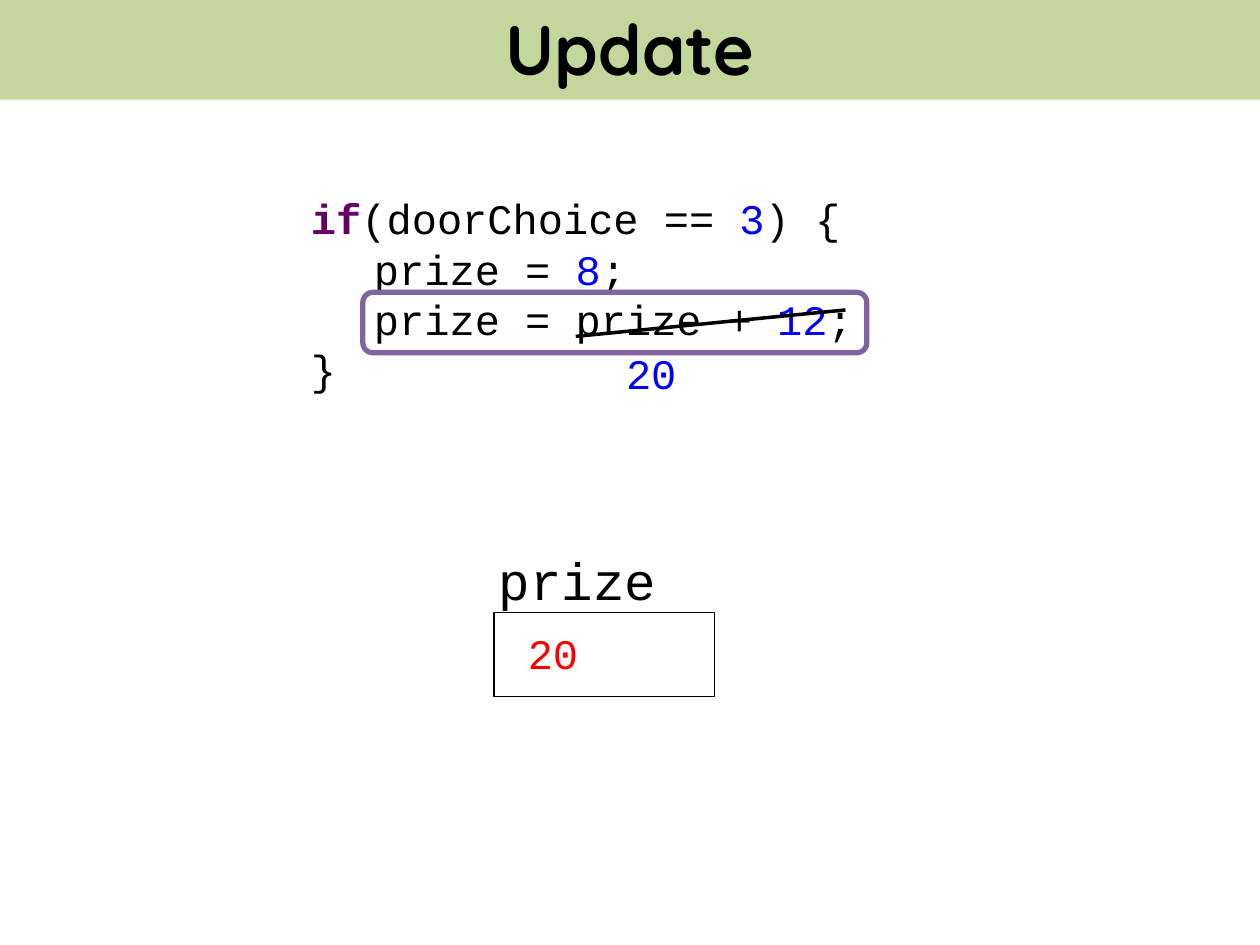
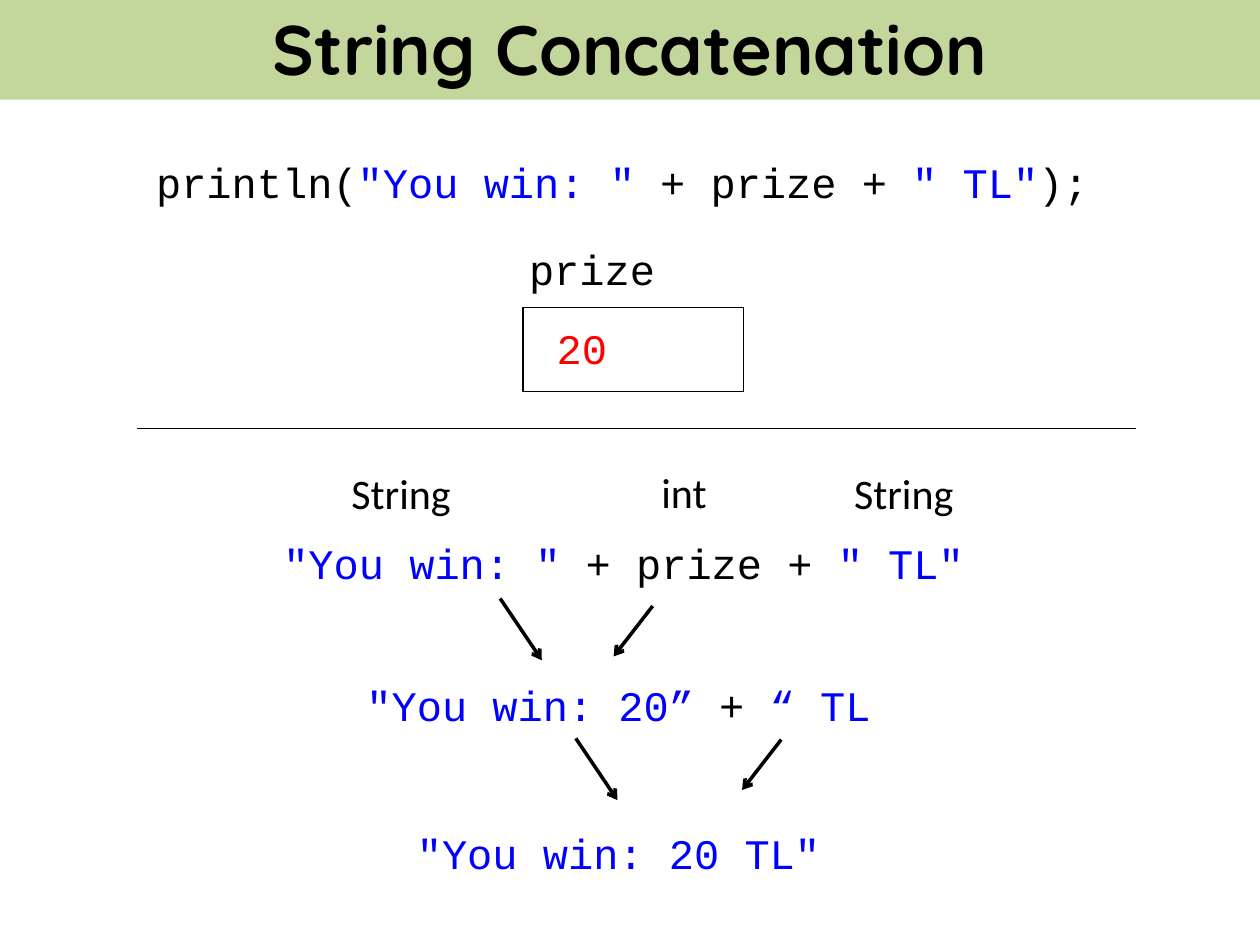
"""Build two slides on updating a variable and concatenating strings."""
from lxml import etree
from pptx import Presentation
from pptx.dml.color import RGBColor
from pptx.enum.shapes import MSO_CONNECTOR as CONN, MSO_SHAPE as SHAPE
from pptx.enum.text import MSO_ANCHOR as ANCHOR, MSO_AUTO_SIZE as AUTO, PP_ALIGN as ALIGN
from pptx.oxml.ns import qn
from pptx.util import Inches, Pt

COLORS = {
    "band": "C3D69B", "black": "000000", "white": "FFFFFF", "keyword": "660066",
    "literal": "0000FF", "value": "FF0000", "highlight": "8064A2",
}
CODE, LABEL, TITLE = "Courier New", "Calibri", "Quicksand"


def rgb(name):
    return RGBColor.from_string(COLORS[name])


class Deck:
    def __init__(self):
        self.prs = Presentation()
        self.prs.slide_width, self.prs.slide_height = Inches(10), Inches(7.5)
        self.s = None

    def format_run(self, r, color="black", size=24, font=CODE, bold=False):
        r.font.name, r.font.size, r.font.bold = font, Pt(size), bold
        r.font.color.rgb = rgb(color)

    def slide(self, title):
        self.s = self.prs.slides.add_slide(self.prs.slide_layouts[5])
        sp = self.s.shapes.title
        sp.left, sp.top = Inches(0), Inches(-0.03)
        sp.width, sp.height = Inches(10), Inches(0.82)
        sp.fill.solid()
        sp.fill.fore_color.rgb = rgb("band")
        tf = sp.text_frame
        tf.text = title
        tf.auto_size, tf.vertical_anchor = AUTO.NONE, ANCHOR.MIDDLE
        p = tf.paragraphs[0]
        p.alignment = ALIGN.CENTER
        self.format_run(p.runs[0], size=40, font=TITLE, bold=True)

    def text(self, x, y, w, h, *lines, size=24, font=CODE, wrap=False):
        """Add lines, each a list of (text, colour) pairs."""
        sp = self.s.shapes.add_textbox(Inches(x), Inches(y), Inches(w), Inches(h))
        tf = sp.text_frame
        tf.word_wrap, tf.auto_size = wrap, AUTO.SHAPE_TO_FIT_TEXT
        for i, line in enumerate(lines):
            p = tf.add_paragraph() if i else tf.paragraphs[0]
            if line[0][0].startswith("\t"):
                tabs = etree.SubElement(p._p.get_or_add_pPr(), qn("a:tabLst"))
                etree.SubElement(tabs, qn("a:tab"), pos=str(Inches(0.5)), algn="l")
            for words, color in line:
                r = p.add_run()
                r.text = words
                self.format_run(r, color, size, font, bold=color == "keyword")

    def box(self, x, y, w, h, line, weight, fill=None, kind=SHAPE.RECTANGLE):
        sp = self.s.shapes.add_shape(kind, Inches(x), Inches(y), Inches(w), Inches(h))
        sp.shadow.inherit = False
        if fill:
            sp.fill.solid()
            sp.fill.fore_color.rgb = rgb(fill)
        else:
            sp.fill.background()
        sp.line.color.rgb, sp.line.width = rgb(line), Pt(weight)

    def line(self, x1, y1, x2, y2, weight=2, arrow=False):
        sp = self.s.shapes.add_connector(
            CONN.STRAIGHT, Inches(x1), Inches(y1), Inches(x2), Inches(y2))
        sp.line.color.rgb, sp.line.width = rgb("black"), Pt(weight)
        if arrow:
            etree.SubElement(sp.line._get_or_add_ln(), qn("a:tailEnd"), type="arrow")
        etree.SubElement(sp._element.spPr, qn("a:effectLst"))

    def variable(self, x, y, value, name_box, name_size):
        """Draw a named memory cell holding a value."""
        self.box(x, y, 1.75, 0.67, "black", 0.75, fill="white")
        self.text(*name_box, [("prize", "black")], size=name_size)
        self.text(x + 0.17, y + 0.07, 0.61, 0.5, [(value, "value")])


def update_slide(deck):
    deck.slide("Update")
    deck.text(
        2.37, 1.48, 5, 1.72,
        [("if", "keyword"), ("(doorChoice == ", "black"), ("3", "literal"), (") {", "black")],
        [("\tprize = ", "black"), ("8", "literal"), (";", "black")],
        [("\tprize = prize + ", "black"), ("12", "literal"), (";", "black")],
        [("}", "black")],
        wrap=True)
    deck.box(2.88, 2.32, 4, 0.48, "highlight", 3, kind=SHAPE.ROUNDED_RECTANGLE)
    deck.variable(3.92, 4.86, "20", (3.86, 4.3, 1.46, 0.61), 30)
    deck.text(4.87, 2.71, 0.61, 0.5, [("20", "literal")])
    deck.line(4.57, 2.67, 6.71, 2.46)


def concatenation_slide(deck):
    deck.slide("String Concatenation")
    expression = [('"You win: " ', "literal"), ("+ prize + ", "black"), ('" TL"', "literal")]
    deck.text(1.14, 1.19, 7.68, 0.5, [("println(", "black"), *expression, (");", "black")])
    deck.variable(4.15, 2.44, "20", (4.1, 1.88, 1.21, 0.5), 24)
    deck.line(1.09, 3.4, 9.02, 3.4, weight=0.25)

    for x, y, w, kind in [(2.69, 3.66, 1, "String"), (5.15, 3.65, 0.57, "int"),
                          (6.68, 3.66, 1, "String")]:
        deck.text(x, y, w, 0.5, [(kind, "black")], font=LABEL)

    joined = [('"You win: 20” ', "literal"), ("+", "black"), (" “ TL", "literal")]
    deck.text(2.15, 4.22, 5.66, 0.5, expression)
    deck.text(2.81, 5.34, 4.24, 0.5, joined)
    deck.text(3.21, 6.52, 3.43, 0.5, [('"You win: 20 TL"', "literal")])

    for x, y, dx, dy in [(3.97, 4.75, 0.33, 0.49), (5.18, 4.81, -0.31, 0.4),
                         (4.57, 5.86, 0.33, 0.49), (6.2, 5.87, -0.31, 0.4)]:
        deck.line(x, y, x + dx, y + dy, arrow=True)


def main():
    deck = Deck()
    update_slide(deck)
    concatenation_slide(deck)
    deck.prs.save("out.pptx")


if __name__ == "__main__":
    main()
